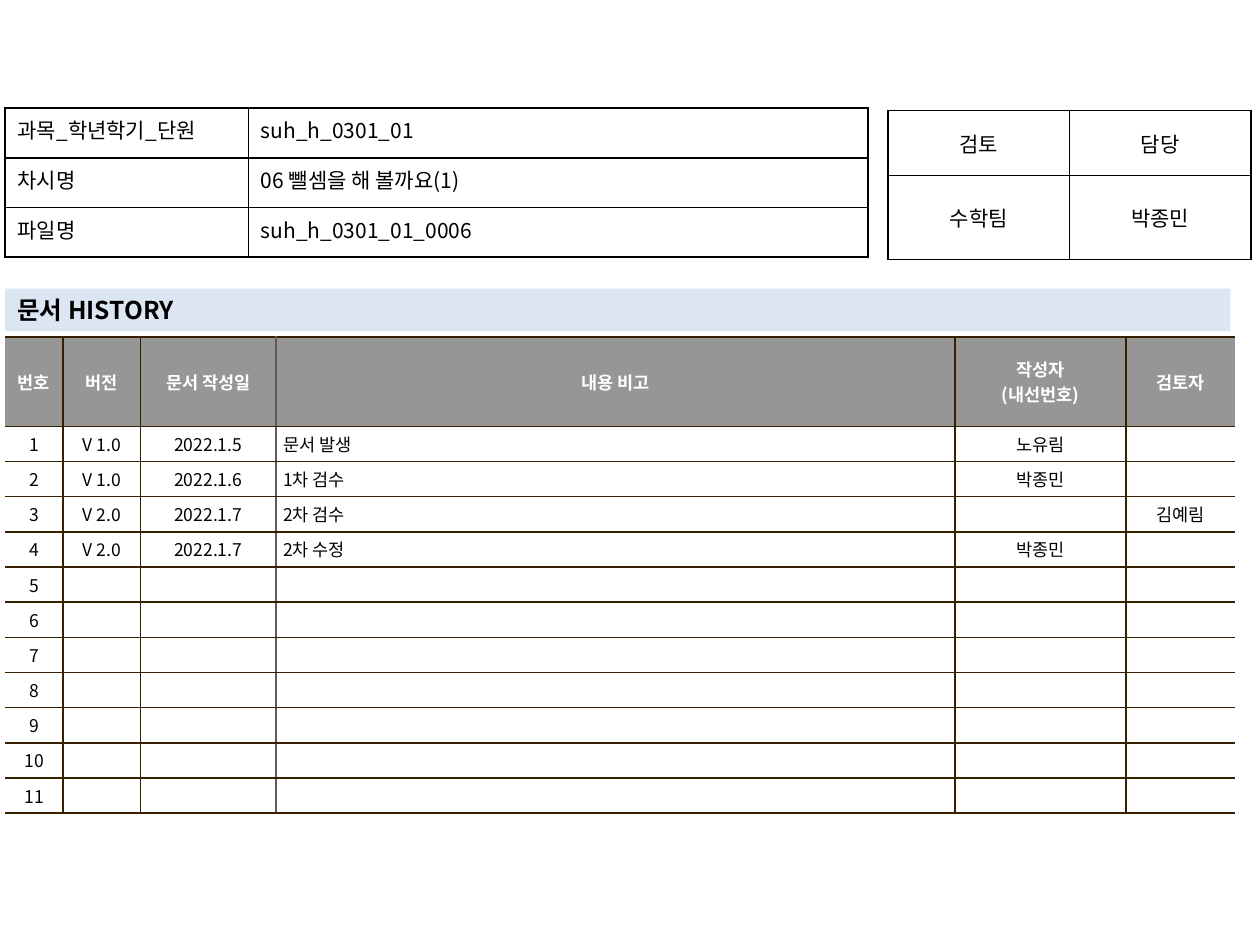
from dataclasses import dataclass

from lxml import etree
from pptx import Presentation
from pptx.dml.color import RGBColor
from pptx.enum.shapes import MSO_SHAPE
from pptx.enum.text import MSO_ANCHOR, PP_ALIGN
from pptx.oxml.ns import qn
from pptx.util import Pt

LEFT, CENTER, JUSTIFY = PP_ALIGN.LEFT, PP_ALIGN.CENTER, PP_ALIGN.JUSTIFY
TOP, MIDDLE = MSO_ANCHOR.TOP, MSO_ANCHOR.MIDDLE
RECTANGLE = MSO_SHAPE.RECTANGLE


@dataclass(frozen=True)
class Theme:
    font: str = "Noto Sans CJK KR"
    black: str = "000000"
    white: str = "FFFFFF"
    header: str = "969696"
    banner: str = "DCE6F2"
    rule: str = "362000"
    soft_rule: str = "645B4C"
    history_size: int = 10
    info_size: int = 12
    title_size: int = 14


theme = Theme()


def style_text(frame, size, color, bold, align):
    """Format every run, and give empty paragraphs the same type size."""
    for para in frame.paragraphs:
        para.alignment = align
        for span in para.runs:
            span.font.size = Pt(size)
            span.font.bold = bold
            span.font.color.rgb = RGBColor.from_string(color)
            span.font.name = theme.font
            east_asian = etree.SubElement(span.font._element, qn("a:ea"))
            east_asian.set("typeface", theme.font)
        if not para.runs:
            etree.SubElement(para._p, qn("a:endParaRPr")).set("sz", str(size * 100))


def style_cell(cell, anchor, margins, fill, borders):
    """Borders are the colours of the left, right, top and bottom edges."""
    cell.vertical_anchor = anchor
    cell.margin_left = cell.margin_right = Pt(margins[0])
    cell.margin_top = cell.margin_bottom = Pt(margins[1])
    if fill:
        cell.fill.solid()
        cell.fill.fore_color.rgb = RGBColor.from_string(fill)
    else:
        cell.fill.background()
    properties = cell._tc.get_or_add_tcPr()
    for index, (side, color) in enumerate(zip("LRTB", borders)):
        line = etree.Element(qn(f"a:ln{side}"), w=str(Pt(1)))
        if color:
            paint = etree.SubElement(line, qn("a:solidFill"))
            etree.SubElement(paint, qn("a:srgbClr")).set("val", color)
        else:
            etree.SubElement(line, qn("a:noFill"))
        properties.insert(index, line)


deck = Presentation()
deck.slide_width, deck.slide_height = Pt(720), Pt(540)
page = deck.slides.add_slide(deck.slide_layouts[6])

history_rows = [
    ["번호", "버전", "문서 작성일", "내용 비고", "작성자\n(내선번호)", "검토자"],
    ["1", "V 1.0", "2022.1.5", "문서 발생", "노유림", ""],
    ["2", "V 1.0", "2022.1.6", "1차 검수", "박종민", ""],
    ["3", "V 2.0", "2022.1.7", "2차 검수", "", "김예림"],
    ["4", "V 2.0", "2022.1.7", "2차 수정", "박종민", ""],
]
history_rows += [[str(number), "", "", "", "", ""] for number in range(5, 12)]
approval_rows = [["검토", "담당"], ["수학팀", "박종민"]]
lesson_rows = [
    ["과목_학년학기_단원", "suh_h_0301_01"],
    ["차시명", "06 뺄셈을 해 볼까요(1)"],
    ["파일명", "suh_h_0301_01_0006"],
]

# Each table: rows, left, top, column widths, row heights, column alignments, anchor
tables = {
    "history": (history_rows, 2.9, 192.7, [33.1, 44.2, 77.6, 388, 97.7, 62.4],
                [50.9] + [20.1] * 11, [CENTER] * 3 + [LEFT] + [CENTER] * 2, MIDDLE),
    "approval": (approval_rows, 507.5, 63.2, [103.7] * 2, [37.2, 47.8], [CENTER] * 2, MIDDLE),
    "lesson": (lesson_rows, 2.9, 61.8, [139, 354.2], [28.4] * 3, [JUSTIFY, LEFT], TOP),
}
for name, (rows, left, top, widths, heights, aligns, anchor) in tables.items():
    frame = page.shapes.add_table(len(rows), len(widths), Pt(left), Pt(top),
                                  Pt(sum(widths)), Pt(sum(heights)))
    table = frame.table
    table.first_row = table.horz_banding = False
    is_history = name == "history"
    if is_history:
        edges = [None, theme.rule, theme.rule, theme.soft_rule, theme.rule, theme.rule, None]
    else:
        edges = [theme.black] * (len(widths) + 1)
    for column, width in zip(table.columns, widths):
        column.width = Pt(width)
    for row_index, (values, height) in enumerate(zip(rows, heights)):
        table.rows[row_index].height = Pt(height)
        is_header = is_history and row_index == 0
        for column_index, value in enumerate(values):
            cell = table.cell(row_index, column_index)
            cell.text_frame.text = value
            level = theme.rule if is_history else theme.black
            borders = [edges[column_index], edges[column_index + 1], level, level]
            if is_history:
                fill = theme.header if is_header else theme.white
                style_cell(cell, anchor, (4.1, 2.6), fill, borders)
            else:
                style_cell(cell, anchor, (7.2, 3.6), None, borders)
            style_text(cell.text_frame,
                       theme.history_size if is_history else theme.info_size,
                       theme.white if is_header else theme.black,
                       is_header, CENTER if is_header else aligns[column_index])

banner = page.shapes.add_shape(RECTANGLE, Pt(2.9), Pt(165), Pt(700.2), Pt(24.2))
banner.shadow.inherit = False
banner.fill.solid()
banner.fill.fore_color.rgb = RGBColor.from_string(theme.banner)
banner.line.fill.background()
banner.text_frame.word_wrap = True
banner.text_frame.vertical_anchor = MIDDLE
banner.text_frame.margin_top = banner.text_frame.margin_bottom = Pt(0)
banner.text_frame.text = "문서 HISTORY"
style_text(banner.text_frame, theme.title_size, theme.black, True, LEFT)

deck.save("out.pptx")
